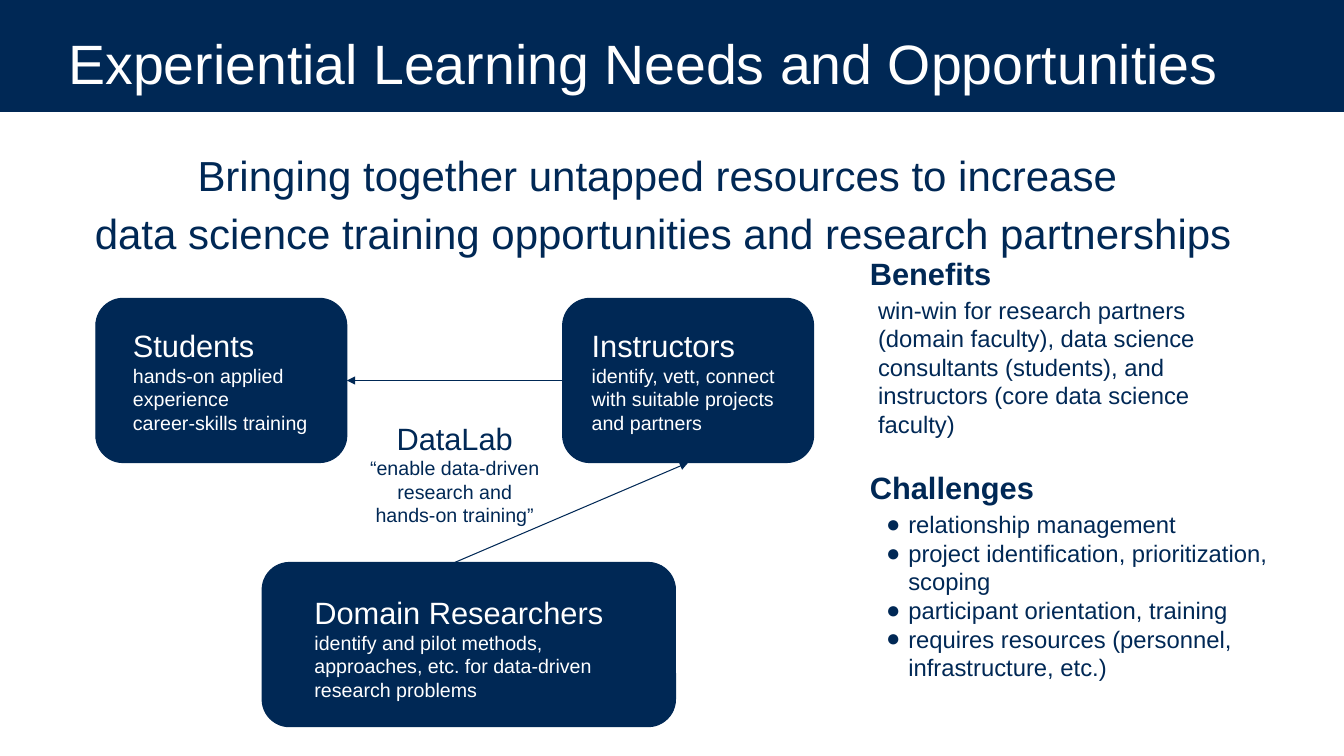
"""Build the slide on experiential learning needs and opportunities."""
import dataclasses

import lxml.etree
import pptx
import pptx.dml.color
import pptx.enum.shapes
import pptx.enum.text
import pptx.oxml.ns
import pptx.presentation
import pptx.shapes.autoshape
import pptx.shapes.connector
import pptx.slide
import pptx.text.text
import pptx.util

NAVY = "002855"
WHITE = "FFFFFF"
FONT = "Arial"
HEADING_SIZE = 22
DETAIL_SIZE = 14
LIST_SIZE = 17
Inches = pptx.util.Inches
SHAPES = pptx.enum.shapes.MSO_SHAPE
ALIGN = pptx.enum.text.PP_ALIGN
ANCHOR = pptx.enum.text.MSO_ANCHOR
AUTO_SIZE = pptx.enum.text.MSO_AUTO_SIZE


@dataclasses.dataclass(frozen=True)
class Area:
    left: float
    top: float
    width: float
    height: float

    def lengths(self) -> tuple[pptx.util.Length, ...]:
        return tuple(Inches(value) for value in dataclasses.astuple(self))


@dataclasses.dataclass(frozen=True)
class Line:
    text: str
    size: float
    bold: bool = False
    bulleted: bool = False


@dataclasses.dataclass(frozen=True)
class TextBlock:
    area: Area
    lines: list[Line]
    color: str = NAVY
    align: ALIGN = ALIGN.LEFT
    vertical_margin: float = 0.1
    anchor: ANCHOR = ANCHOR.TOP
    auto_size: AUTO_SIZE = AUTO_SIZE.SHAPE_TO_FIT_TEXT
    line_spacing: float = 1.0


def heading_with_details(heading: str, *details: str) -> list[Line]:
    return [Line(heading, HEADING_SIZE), *(Line(detail, DETAIL_SIZE) for detail in details)]


BANNER = Area(-0.01, -0.01, 13.39, 1.12)
RESEARCHERS = Area(2.6, 5.58, 4.1, 1.63)
INSTRUCTORS = Area(5.58, 2.96, 2.49, 1.63)
STUDENTS = Area(0.95, 2.96, 2.49, 1.63)

TEXT_BLOCKS = [
    TextBlock(Area(0.58, 0.15, 12, 0.94),
              [Line("Experiential Learning Needs and Opportunities", 39.6)],
              color=WHITE, vertical_margin=0.05, anchor=ANCHOR.MIDDLE, auto_size=AUTO_SIZE.NONE),
    TextBlock(Area(0.44, 1.36, 12.28, 1.31),
              [Line("Bringing together untapped resources to increase \n"
                    "data science training opportunities and research partnerships", 30)],
              align=ALIGN.CENTER, vertical_margin=0.05, auto_size=AUTO_SIZE.NONE,
              line_spacing=1.15),
    TextBlock(Area(1.22, 3.14, 2.04, 1.28),
              heading_with_details("Students", "hands-on applied experience",
                                   "career-skills training"), WHITE),
    TextBlock(Area(5.77, 3.14, 2.1, 1.28),
              heading_with_details("Instructors", "identify, vett, connect with suitable "
                                   "projects and partners"), WHITE),
    TextBlock(Area(3.02, 5.79, 3.18, 1.52),
              heading_with_details("Domain Researchers", "identify and pilot methods, "
                                   "approaches, etc. for data-driven research problems"), WHITE),
    TextBlock(Area(3.55, 4.06, 1.92, 1.52),
              heading_with_details("DataLab", "“enable data-driven research and "
                                   "hands-on training”"), align=ALIGN.CENTER),
    TextBlock(Area(8.53, 2.43, 4.49, 0.57), [Line("Benefits", HEADING_SIZE, bold=True)]),
    TextBlock(Area(8.61, 2.83, 3.91, 1.63),
              [Line("win-win for research partners (domain faculty), data science consultants "
                    "(students), and instructors (core data science faculty)", LIST_SIZE)]),
    TextBlock(Area(8.53, 4.55, 4.49, 0.57), [Line("Challenges", HEADING_SIZE, bold=True)]),
    TextBlock(Area(8.53, 4.96, 4.25, 1.92),
              [Line(challenge, LIST_SIZE, bulleted=True) for challenge in (
                  "relationship management",
                  "project identification, prioritization, scoping",
                  "participant orientation, training",
                  "requires resources (personnel, infrastructure, etc.)")]),
]


def rgb(color: str) -> pptx.dml.color.RGBColor:
    return pptx.dml.color.RGBColor.from_string(color)


def add_child(parent: lxml.etree._Element, tag: str, **attributes: str) -> lxml.etree._Element:
    return lxml.etree.SubElement(parent, pptx.oxml.ns.qn(tag), **attributes)


def add_panel(slide: pptx.slide.Slide, area: Area,
              kind: SHAPES) -> pptx.shapes.autoshape.Shape:
    shape = slide.shapes.add_shape(kind, *area.lengths())
    shape.shadow.inherit = False
    shape.fill.solid()
    shape.fill.fore_color.rgb = rgb(NAVY)
    shape.line.color.rgb = rgb(NAVY)
    shape.line.width = pptx.util.Pt(0.75)
    return shape


def add_bullet(paragraph: pptx.text.text._Paragraph) -> None:
    properties = paragraph._p.get_or_add_pPr()
    properties.set("marL", str(Inches(0.38)))
    properties.set("indent", str(Inches(-0.22)))
    add_child(add_child(properties, "a:buClr"), "a:srgbClr", val=NAVY)
    add_child(properties, "a:buFont", typeface=FONT)
    add_child(properties, "a:buChar", char="●")


def add_text_block(slide: pptx.slide.Slide, block: TextBlock) -> None:
    text_frame = slide.shapes.add_textbox(*block.area.lengths()).text_frame
    text_frame.word_wrap = True
    text_frame.auto_size = block.auto_size
    text_frame.vertical_anchor = block.anchor
    text_frame.margin_left = text_frame.margin_right = Inches(0.1)
    text_frame.margin_top = text_frame.margin_bottom = Inches(block.vertical_margin)
    for index, line in enumerate(block.lines):
        paragraph = text_frame.add_paragraph() if index else text_frame.paragraphs[0]
        paragraph.text = line.text
        paragraph.alignment = block.align
        paragraph.line_spacing = block.line_spacing
        if line.bulleted:
            add_bullet(paragraph)
        for run in paragraph.runs:
            run.font.name = FONT
            run.font.size = pptx.util.Pt(line.size)
            run.font.bold = line.bold
            run.font.color.rgb = rgb(block.color)


def add_arrow(slide: pptx.slide.Slide, start: tuple[float, float],
              end: tuple[float, float]) -> pptx.shapes.connector.Connector:
    arrow = slide.shapes.add_connector(
        pptx.enum.shapes.MSO_CONNECTOR.STRAIGHT,
        *(Inches(value) for value in (*start, *end)))
    arrow.line.color.rgb = rgb(NAVY)
    arrow.line.width = pptx.util.Pt(0.75)
    add_child(arrow.line._get_or_add_ln(), "a:tailEnd", type="triangle")
    add_child(arrow._element.spPr, "a:effectLst")
    return arrow


def build_slide(presentation: pptx.presentation.Presentation) -> None:
    slide = presentation.slides.add_slide(presentation.slide_layouts[6])
    banner = add_panel(slide, BANNER, SHAPES.RECTANGLE)
    banner.line.fill.background()
    _, instructors, students = [
        add_panel(slide, area, SHAPES.ROUNDED_RECTANGLE)
        for area in (RESEARCHERS, INSTRUCTORS, STUDENTS)]

    projects_arrow = add_arrow(slide, (4.51, 5.58), (6.82, 4.59))
    projects_arrow.end_connect(instructors, 2)
    training_arrow = add_arrow(slide, (5.58, 3.77), (3.44, 3.77))
    training_arrow.begin_connect(instructors, 1)
    training_arrow.end_connect(students, 3)

    for block in TEXT_BLOCKS:
        add_text_block(slide, block)


def main() -> None:
    presentation = pptx.Presentation()
    presentation.slide_width = Inches(13.33)
    presentation.slide_height = Inches(7.5)
    build_slide(presentation)
    presentation.save("out.pptx")


if __name__ == "__main__":
    main()
